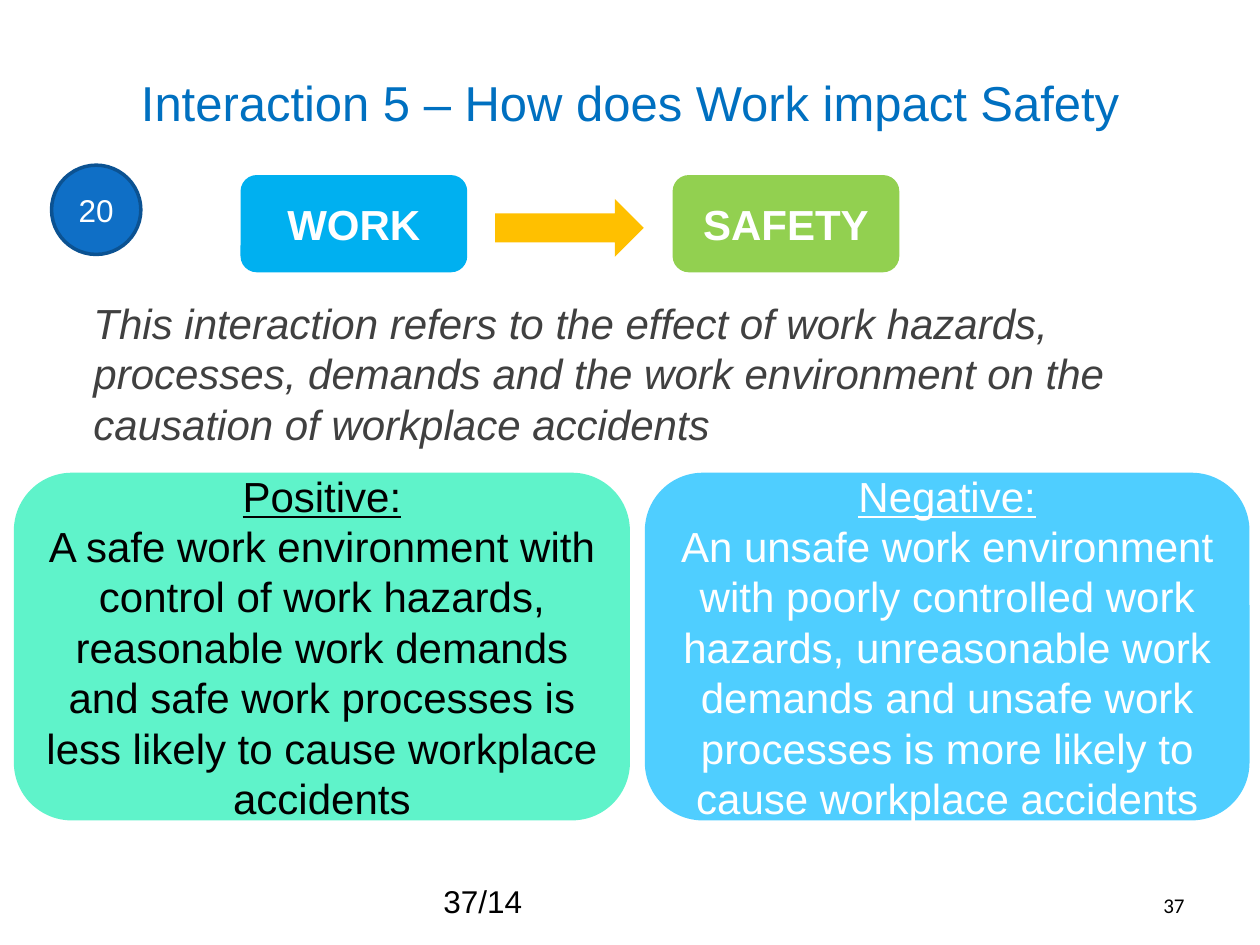
"""Build the slide on how work affects safety."""
from dataclasses import dataclass

from lxml.etree import SubElement
from pptx import Presentation
from pptx.dml.color import RGBColor as Rgb
from pptx.enum.shapes import MSO_SHAPE as Kind
from pptx.enum.text import MSO_ANCHOR as Anchor, MSO_AUTO_SIZE as Fit, PP_ALIGN as Align
from pptx.oxml.ns import qn
from pptx.util import Cm, Pt


@dataclass(frozen=True)
class Theme:
    face: str = "Arial"
    page_face: str = "Calibri"
    title: str = "0070C0"
    ink: str = "000000"
    grey: str = "404040"
    white: str = "FFFFFF"
    work: str = "00B0F0"
    safe: str = "92D050"
    arrow: str = "FFC000"
    good: str = "5FF3CA"
    bad: str = "4FCEFF"
    badge: str = "0F6FC6"
    rim: str = "0B5292"
    head: int = 28
    main: int = 24
    note: int = 18
    tiny: int = 12


LOOK = Theme()


def place(shape, box):
    names = ("left", "top", "width", "height")
    for name, size in zip(names, box):
        setattr(shape, name, Cm(size))


def write(shape, lines, color, size=LOOK.main, face=LOOK.face,
          align=Align.CENTER, anchor=Anchor.MIDDLE):
    frame = shape.text_frame
    modes = {"word_wrap": True, "auto_size": Fit.NONE, "vertical_anchor": anchor}
    for name, value in modes.items():
        setattr(frame, name, value)
    for i, (text, marks) in enumerate(lines):
        para = frame.add_paragraph() if i else frame.paragraphs[0]
        para.alignment = align
        para.space_before = Pt(0)
        run = para.add_run()
        run.text = text
        run.font.color.rgb = Rgb.from_string(color)
        for name, value in {"name": face, "size": Pt(size), **marks}.items():
            setattr(run.font, name, value)


def add_form(slide, kind, box, fill, rim=None):
    shape = slide.shapes.add_shape(kind, *map(Cm, box))
    shape.shadow.inherit = False
    shape.fill.solid()
    shape.fill.fore_color.rgb = Rgb.from_string(fill)
    if rim:
        shape.line.color.rgb = Rgb.from_string(rim)
        shape.line.width = Pt(2)
    else:
        shape.line.fill.background()
    return shape


def add_label(slide, box, text, **style):
    label = slide.shapes.add_textbox(*map(Cm, box))
    write(label, [(text, {})], LOOK.ink, **style)


def add_panel(slide, left, width, fill, color, head, text):
    panel = add_form(slide, Kind.ROUNDED_RECTANGLE, (left, 9.53, width, 7.01), fill)
    write(panel, [(head, {"underline": True}), (text, {})], color)


def add_node(slide, left, fill, text):
    node = add_form(slide, Kind.ROUNDED_RECTANGLE, (left, 3.53, 4.57, 1.96), fill)
    write(node, [(text, {"bold": True})], LOOK.white)


def add_badge(slide, text):
    badge = add_form(slide, Kind.OVAL, (1.04, 3.33, 1.8, 1.8), LOOK.badge, LOOK.rim)
    for side in ("left", "right"):
        setattr(badge.text_frame, f"margin_{side}", 0)
    write(badge, [(text, {})], LOOK.white, LOOK.note)


def fill_title(slide, text):
    title = slide.shapes.title
    place(title, (1.27, 0.46, 22.86, 3.18))
    write(title, [(text, {})], LOOK.title, LOOK.head)


def fill_body(slide, text):
    body = slide.placeholders[1]
    place(body, (1.63, 5.87, 23.5, 12.09))
    props = body.text_frame.paragraphs[0]._p.get_or_add_pPr()
    for name in ("marL", "indent"):
        props.set(name, "0")
    SubElement(props, qn("a:buNone"))
    write(body, [(text, {"italic": True})], LOOK.grey,
          align=Align.LEFT, anchor=Anchor.TOP)


def main():
    deck = Presentation()
    deck.slide_width, deck.slide_height = Cm(25.4), Cm(19.05)
    slide = deck.slides.add_slide(deck.slide_layouts[1])
    fill_title(slide, "Interaction 5 – How does Work impact Safety")
    fill_body(slide, "This interaction refers to the effect of work hazards, processes, "
              "demands and the work environment on the causation of workplace accidents")
    add_panel(slide, 0.28, 12.42, LOOK.good, LOOK.ink, "Positive:",
              "A safe work environment with control of work hazards, reasonable work "
              "demands and safe work processes is less likely to cause workplace accidents")
    add_panel(slide, 13, 12.19, LOOK.bad, LOOK.white, "Negative:",
              "An unsafe work environment with poorly controlled work hazards, "
              "unreasonable work demands and unsafe work processes is more likely "
              "to cause workplace accidents")
    add_node(slide, 4.85, LOOK.work, "WORK")
    add_node(slide, 13.56, LOOK.safe, "SAFETY")
    add_form(slide, Kind.RIGHT_ARROW, (9.98, 4.01, 3, 1.17), LOOK.arrow)
    add_badge(slide, "20")
    add_label(slide, (8.69, 17.65, 8.05, 1.02), "37/14", size=LOOK.note,
              align=Align.LEFT, anchor=Anchor.TOP)
    add_label(slide, (18.21, 17.73, 5.92, 1.02), "37", size=LOOK.tiny,
              face=LOOK.page_face, align=Align.RIGHT)
    deck.save("out.pptx")


if __name__ == "__main__":
    main()
